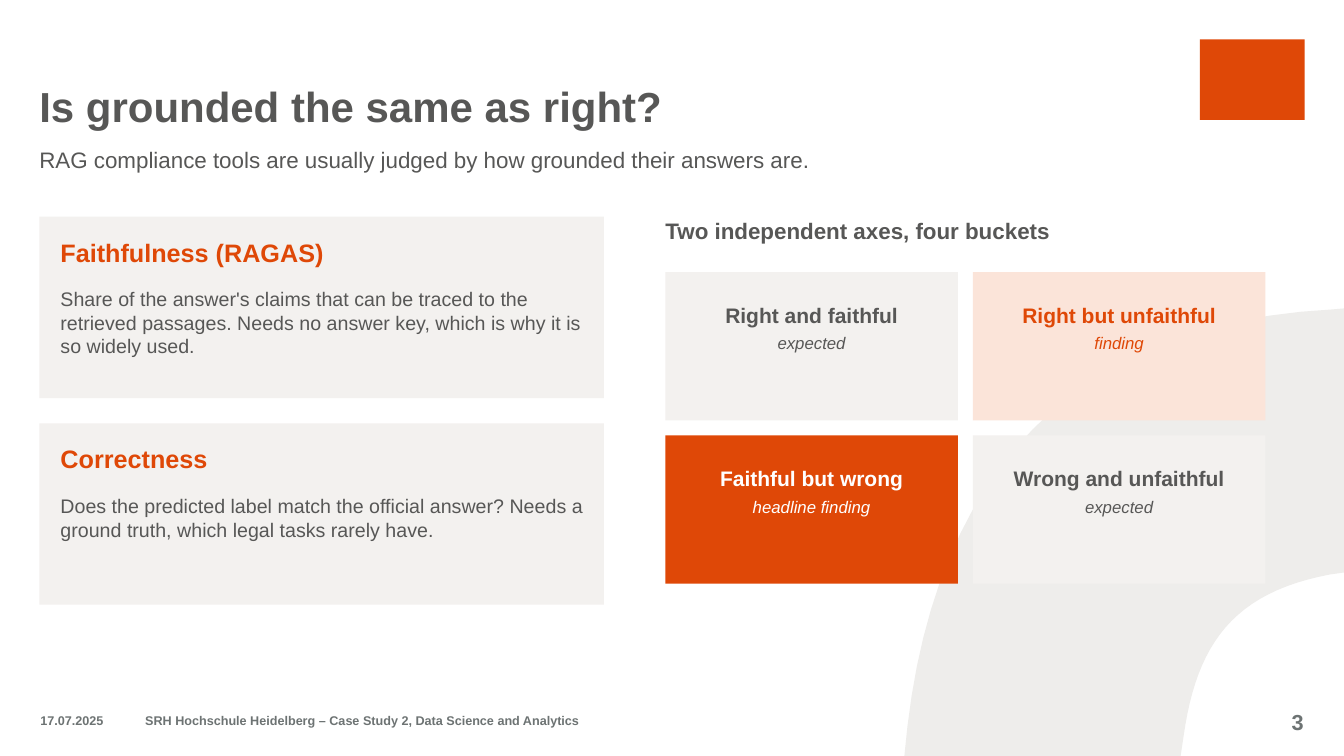
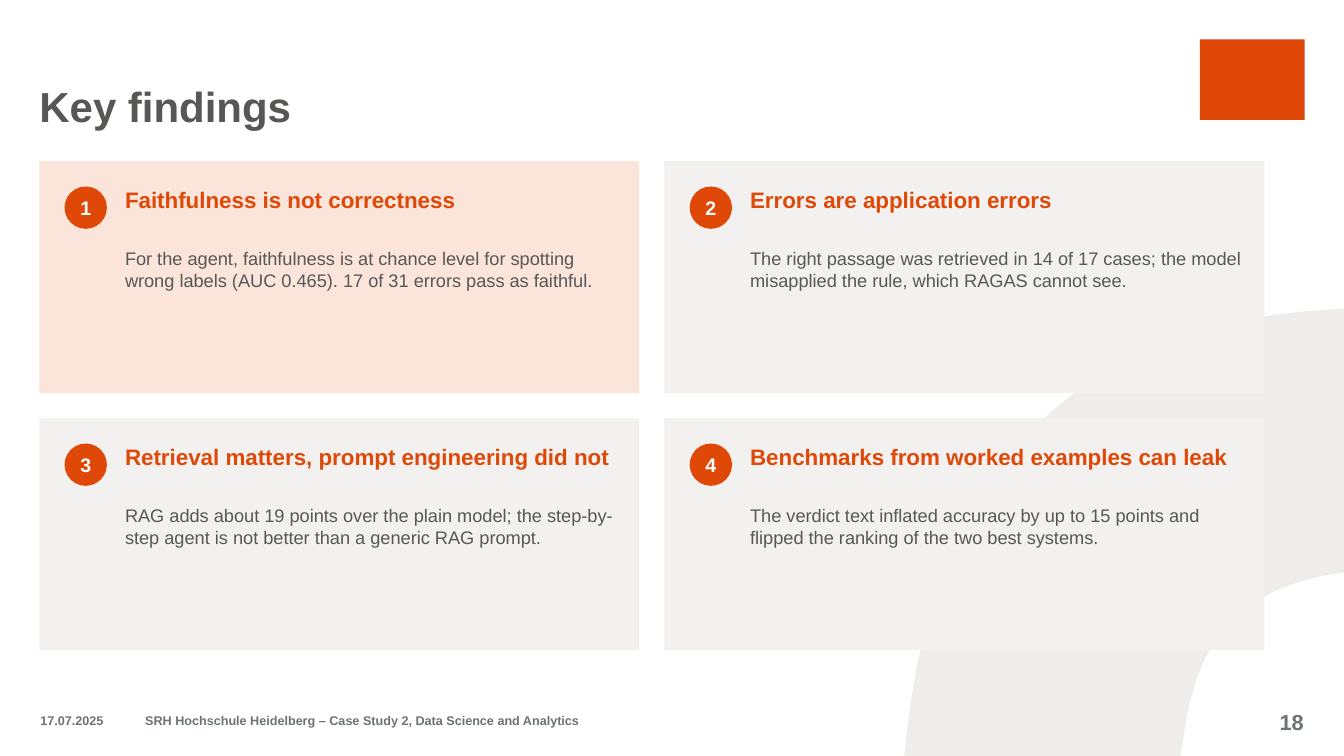
from dataclasses import dataclass
from itertools import product

from pptx import Presentation
from pptx.dml.color import RGBColor as Rgb
from pptx.enum.shapes import MSO_SHAPE as Kind
from pptx.enum.text import MSO_ANCHOR as Anchor, PP_ALIGN as Align
from pptx.util import Inches, Pt


@dataclass(frozen=True)
class Theme:
    font: str = "Arial"
    ink: str = "575756"
    accent: str = "DF4807"
    blush: str = "FBE4D9"
    panel: str = "F3F1EF"
    swoosh: str = "EEEDEB"
    muted: str = "6D7373"
    white: str = "FFFFFF"
    title: float = 30
    term: float = 18
    lead: float = 16
    page: float = 15.5
    bucket: float = 15
    body: float = 14
    detail: float = 13
    tag: float = 12
    foot: float = 9


T = Theme()
LEFT = 0.39
DATE = "17.07.2025"
COURSE = "SRH Hochschule Heidelberg – Case Study 2, Data Science and Analytics"


@dataclass(frozen=True)
class Line:
    text: str
    size: float
    color: str = T.ink
    bold: bool = False
    slant: bool = False


def write(frame, lines, align=Align.LEFT, anchor=Anchor.TOP, after=0):
    frame.word_wrap = True
    frame.vertical_anchor = anchor
    frame.margin_left = frame.margin_right = 0
    frame.margin_top = frame.margin_bottom = 0
    for i, line in enumerate(lines):
        para = frame.add_paragraph() if i else frame.paragraphs[0]
        para.text = line.text
        para.alignment = align
        para.space_after = Pt(after)
        font = para.font
        font.name, font.size = T.font, Pt(line.size)
        font.bold, font.italic = line.bold, line.slant
        font.color.rgb = Rgb.from_string(line.color)


def label(slide, box, *lines, **style):
    shape = slide.shapes.add_textbox(*map(Inches, box))
    write(shape.text_frame, lines, **style)


def paint(shape, color):
    shape.shadow.inherit = False
    shape.fill.solid()
    shape.fill.fore_color.rgb = Rgb.from_string(color)
    shape.line.fill.background()
    return shape


def block(slide, box, color, kind=Kind.RECTANGLE):
    return paint(slide.shapes.add_shape(kind, *map(Inches, box)), color)


def curve(a, b, c, d, steps=24):
    for i in range(1, steps + 1):
        t = i / steps
        u = 1 - t
        yield tuple(u**3 * p + 3 * u * u * t * q + 3 * u * t * t * r + t**3 * s
                    for p, q, r, s in zip(a, b, c, d))


def swoosh(slide):
    points = [(13.33, 3.06), (13.33, 5.68), (13.19, 5.7),
              *curve((13.19, 5.7), (12.24, 5.88), (11.87, 6.38), (11.74, 7.3)),
              (11.71, 7.5), (8.97, 7.5), (9, 7.21),
              *curve((9, 7.21), (9.29, 4.73), (10.62, 3.2), (13.22, 3.07))]
    start, *rest = [(Inches(x), Inches(y)) for x, y in points]
    form = slide.shapes.build_freeform(*start)
    form.add_line_segments(rest)
    paint(form.convert_to_shape(), T.swoosh)


def footer(slide, number):
    for box, text, size, align in (
        ((0.4, 6.95, 0.96, 0.4), DATE, T.foot, Align.LEFT),
        ((1.44, 6.95, 7.1, 0.4), COURSE, T.foot, Align.LEFT),
        ((12.19, 6.96, 0.74, 0.4), str(number), T.page, Align.RIGHT),
    ):
        label(slide, box, Line(text, size, T.muted, True),
              align=align, anchor=Anchor.MIDDLE)


def base(deck, title, number):
    slide = deck.slides.add_slide(deck.slide_layouts[6])
    block(slide, (11.9, 0.39, 1.04, 0.8), T.accent)
    swoosh(slide)
    label(slide, (LEFT, 0.39, 10.01, 0.91),
          Line(title, T.title, bold=True), anchor=Anchor.BOTTOM)
    footer(slide, number)
    return slide


def grid(x, y, wide, high, gap):
    for row, col in product(range(2), repeat=2):
        yield x + col * (wide + gap), y + row * (high + gap), wide, high


def term(slide, box, name, text):
    x, y, wide, _ = box
    block(slide, box, T.panel)
    label(slide, (x + 0.21, y + 0.2, wide - 0.4, 0.4),
          Line(name, T.term, T.accent, True))
    label(slide, (x + 0.21, y + 0.7, wide - 0.4, 1), Line(text, T.body))


def bucket(slide, box, name, tag, fill, color):
    x, y, wide, _ = box
    block(slide, box, fill)
    label(slide, (x + 0.15, y + 0.3, wide - 0.3, 0.9),
          Line(name, T.bucket, color, True),
          Line(tag, T.tag, color, slant=True),
          align=Align.CENTER, after=4)


def finding(slide, box, number, name, text, fill):
    x, y, wide, _ = box
    block(slide, box, fill)
    badge = block(slide, (x + 0.25, y + 0.25, 0.42, 0.42), T.accent, Kind.OVAL)
    write(badge.text_frame, [Line(str(number), T.body, T.white, True)],
          align=Align.CENTER, anchor=Anchor.MIDDLE)
    label(slide, (x + 0.85, y + 0.25, wide - 1.05, 0.5),
          Line(name, T.lead, T.accent, True))
    label(slide, (x + 0.85, y + 0.85, wide - 1.05, 1.35), Line(text, T.detail))


def axes(deck):
    slide = base(deck, "Is grounded the same as right?", 3)
    label(slide, (LEFT, 1.45, 12.2, 0.5),
          Line("RAG compliance tools are usually judged by how grounded "
               "their answers are.", T.lead))
    terms = (
        ("Faithfulness (RAGAS)",
         "Share of the answer's claims that can be traced to the retrieved "
         "passages. Needs no answer key, which is why it is so widely used."),
        ("Correctness",
         "Does the predicted label match the official answer? Needs a ground "
         "truth, which legal tasks rarely have."),
    )
    for i, item in enumerate(terms):
        term(slide, (LEFT, 2.15 + i * 2.05, 5.6, 1.8), *item)
    label(slide, (6.6, 2.15, 6, 0.4),
          Line("Two independent axes, four buckets", T.lead, bold=True))
    buckets = (
        ("Right and faithful", "expected", T.panel, T.ink),
        ("Right but unfaithful", "finding", T.blush, T.accent),
        ("Faithful but wrong", "headline finding", T.accent, T.white),
        ("Wrong and unfaithful", "expected", T.panel, T.ink),
    )
    for box, item in zip(grid(6.6, 2.7, 2.9, 1.47, 0.15), buckets):
        bucket(slide, box, *item)


def results(deck):
    slide = base(deck, "Key findings", 18)
    items = (
        ("Faithfulness is not correctness",
         "For the agent, faithfulness is at chance level for spotting wrong "
         "labels (AUC 0.465). 17 of 31 errors pass as faithful.", T.blush),
        ("Errors are application errors",
         "The right passage was retrieved in 14 of 17 cases; the model "
         "misapplied the rule, which RAGAS cannot see.", T.panel),
        ("Retrieval matters, prompt engineering did not",
         "RAG adds about 19 points over the plain model; the step-by-step "
         "agent is not better than a generic RAG prompt.", T.panel),
        ("Benchmarks from worked examples can leak",
         "The verdict text inflated accuracy by up to 15 points and flipped "
         "the ranking of the two best systems.", T.panel),
    )
    boxes = grid(LEFT, 1.6, 5.95, 2.3, 0.25)
    for number, (box, item) in enumerate(zip(boxes, items), 1):
        finding(slide, box, number, *item)


def main():
    deck = Presentation()
    deck.slide_width, deck.slide_height = Inches(13.33), Inches(7.5)
    axes(deck)
    results(deck)
    deck.save("out.pptx")


if __name__ == "__main__":
    main()
